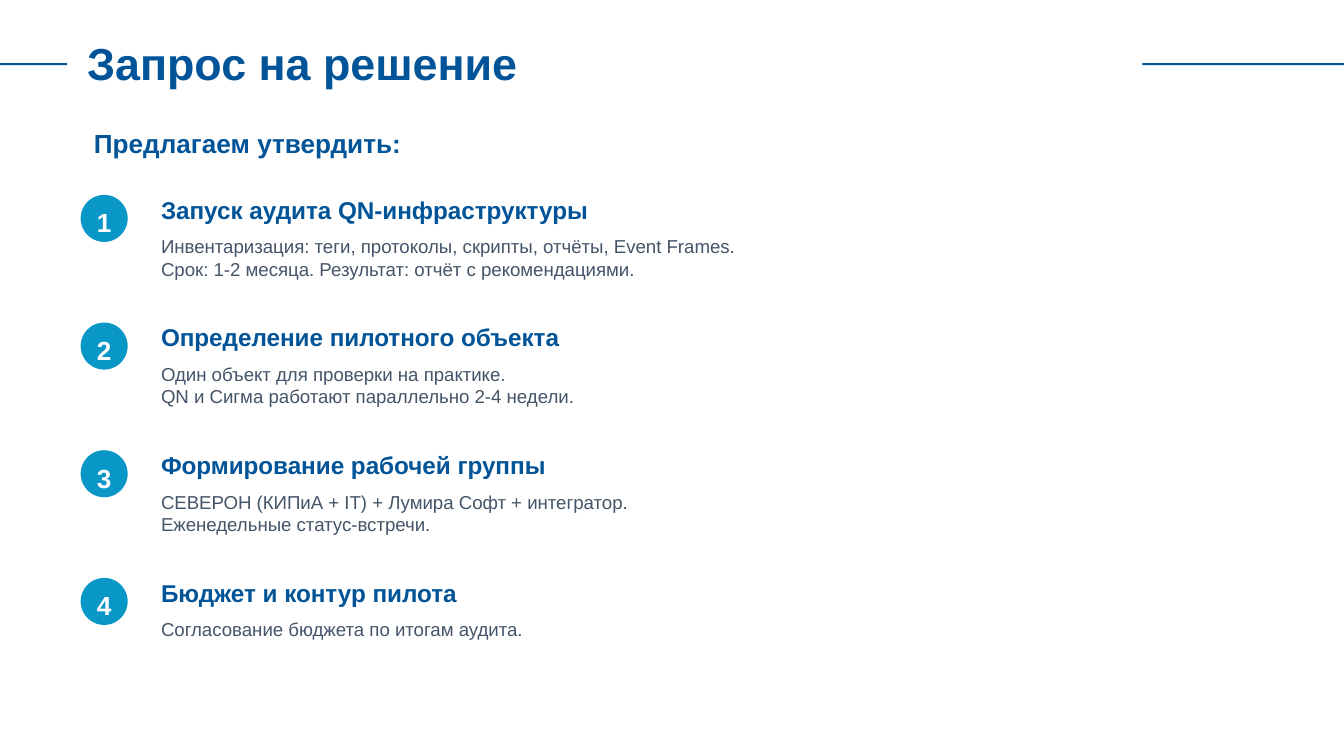
"""Build the decision request slide with four numbered proposals."""
from pptx import Presentation
from pptx.dml.color import RGBColor
from pptx.enum.shapes import MSO_SHAPE
from pptx.enum.text import MSO_AUTO_SIZE, PP_ALIGN
from pptx.util import Pt

PX = 4572
HUES = {"navy": "005497", "cyan": "0997C8", "slate": "445469", "white": "FFFFFF"}

deck = Presentation()
deck.slide_width = 2000 * PX
deck.slide_height = 1125 * PX
slide = deck.slides.add_slide(deck.slide_layouts[6])


def draw(kind, x, y, w, h, hue):
    shape = slide.shapes.add_shape(kind, x * PX, y * PX, w * PX, h * PX)
    shape.shadow.inherit = False
    shape.fill.solid()
    shape.fill.fore_color.rgb = RGBColor.from_string(HUES[hue])
    shape.line.fill.background()


def write(text, x, y, w, h, size, hue="navy", bold=True, align=PP_ALIGN.LEFT):
    frame = slide.shapes.add_textbox(x * PX, y * PX, w * PX, h * PX).text_frame
    frame.word_wrap = True
    frame.auto_size = MSO_AUTO_SIZE.SHAPE_TO_FIT_TEXT
    para = frame.paragraphs[0]
    para.text = text
    para.alignment = align
    para.font.name = "Arial"
    para.font.size = Pt(size)
    para.font.bold = bold
    para.font.color.rgb = RGBColor.from_string(HUES[hue])


draw(MSO_SHAPE.RECTANGLE, 0, 94, 100, 3, "navy")
write("Запрос на решение", 110, 44, 1700, 100, 24)
draw(MSO_SHAPE.RECTANGLE, 1700, 94, 300, 3, "navy")
write("Предлагаем утвердить:", 120, 180, 1800, 70, 14)

steps = [
    ("Запуск аудита QN-инфраструктуры",
     "Инвентаризация: теги, протоколы, скрипты, отчёты, Event Frames.\n"
     "Срок: 1-2 месяца. Результат: отчёт с рекомендациями."),
    ("Определение пилотного объекта",
     "Один объект для проверки на практике.\n"
     "QN и Сигма работают параллельно 2-4 недели."),
    ("Формирование рабочей группы",
     "СЕВЕРОН (КИПиА + IT) + Лумира Софт + интегратор.\n"
     "Еженедельные статус-встречи."),
    ("Бюджет и контур пилота", "Согласование бюджета по итогам аудита."),
]

for num, (head, body) in enumerate(steps, 1):
    top = 90 + 190 * num
    draw(MSO_SHAPE.OVAL, 120, top + 10, 70, 70, "cyan")
    write(str(num), 124, top + 18, 62, 54, 14, "white", align=PP_ALIGN.CENTER)
    write(head, 220, top, 1660, 60, 13)
    write(body, 220, top + 60, 1660, 120, 10, "slate", bold=False)

deck.save("out.pptx")
